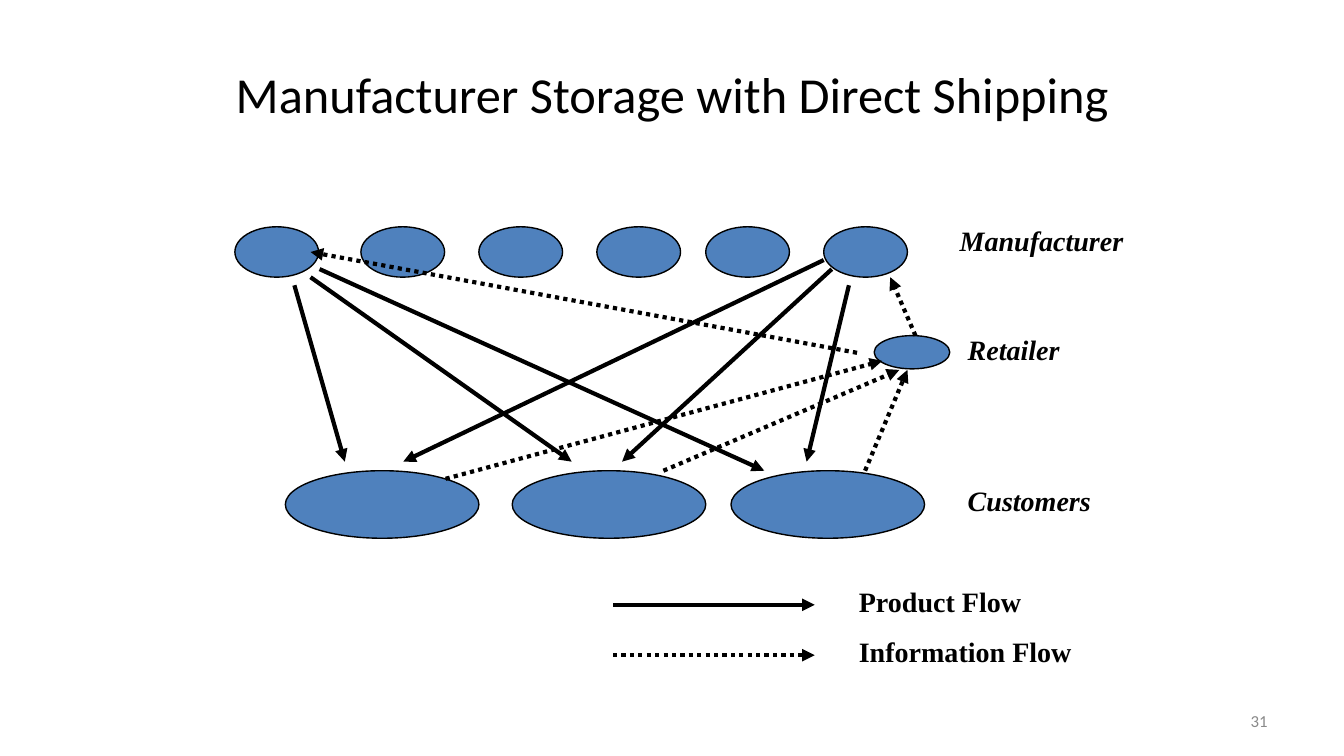
from dataclasses import dataclass

from pptx import Presentation
from pptx.dml.color import RGBColor
from pptx.enum.dml import MSO_LINE
from pptx.enum.shapes import MSO_CONNECTOR, MSO_SHAPE
from pptx.enum.text import MSO_ANCHOR, MSO_AUTO_SIZE, PP_ALIGN
from pptx.oxml.ns import qn
from pptx.oxml.xmlchemy import OxmlElement
from pptx.slide import Slide
from pptx.text.text import TextFrame
from pptx.util import Inches, Pt

STRAIGHT = MSO_CONNECTOR.STRAIGHT
ELLIPSE = MSO_SHAPE.OVAL
DOTTED = MSO_LINE.ROUND_DOT
MIDDLE = MSO_ANCHOR.MIDDLE
FIT_SHAPE = MSO_AUTO_SIZE.SHAPE_TO_FIT_TEXT
LEFT, CENTER, RIGHT = PP_ALIGN.LEFT, PP_ALIGN.CENTER, PP_ALIGN.RIGHT

COLORS = {"ink": "000000", "node": "4F81BD", "number": "898989"}
SANS, SERIF = "Calibri", "Times New Roman"


@dataclass
class NodeRow:
    lefts: list[float]
    top: float
    width: float
    height: float


@dataclass
class Flow:
    x1: float
    y1: float
    x2: float
    y2: float
    information: bool = False


@dataclass
class Label:
    text: str
    left: float
    top: float
    width: float = 1.83
    italic: bool = False


NODE_ROWS = [
    NodeRow([2.33, 3.58, 4.75, 5.92, 7, 8.17], 2.25, 0.83, 0.5),
    NodeRow([8.67], 3.33, 0.75, 0.33),
    NodeRow([2.83, 5.08, 7.25], 4.67, 1.92, 0.67),
]

FLOWS = [
    Flow(2.92, 2.83, 3.42, 4.58),
    Flow(3.08, 2.75, 5.67, 4.58),
    Flow(3.17, 2.67, 7.58, 4.67),
    Flow(8.42, 2.83, 8, 4.58),
    Flow(8.25, 2.67, 6.17, 4.58),
    Flow(8.17, 2.58, 4, 4.58),
    Flow(4.42, 4.75, 8.75, 3.58, True),
    Flow(6.58, 4.67, 8.92, 3.67, True),
    Flow(8.58, 4.67, 9, 3.67, True),
    Flow(9.08, 3.33, 8.83, 2.75, True),
    Flow(8.5, 3.5, 3.08, 2.5, True),
    Flow(6.08, 6, 8.08, 6),
    Flow(6.08, 6.5, 8.08, 6.5, True),
]

LABELS = [
    Label("Manufacturer", 9.42, 2.17, italic=True),
    Label("Retailer", 9.5, 3.25, italic=True),
    Label("Customers", 9.5, 4.75, italic=True),
    Label("Product Flow", 8.42, 5.75),
    Label("Information Flow", 8.42, 6.25, 2.33),
]


def rgb(name: str) -> RGBColor:
    return RGBColor.from_string(COLORS[name])


def write(tf: TextFrame, text: str, size: int, font: str, color: str,
          align: PP_ALIGN, bold: bool = False, italic: bool = False) -> None:
    tf.word_wrap = True
    tf.text = text
    p = tf.paragraphs[0]
    p.alignment = align
    r = p.runs[0]
    r.font.size = Pt(size)
    r.font.name = font
    r.font.bold = bold
    r.font.italic = italic
    r.font.color.rgb = rgb(color)


def add_title(s: Slide, text: str) -> None:
    sp = s.shapes.title
    sp.left, sp.top = Inches(0.67), Inches(0.3)
    sp.width, sp.height = Inches(12), Inches(1.25)
    sp.text_frame.vertical_anchor = MIDDLE
    write(sp.text_frame, text, 36, SANS, "ink", CENTER)


def add_page_number(s: Slide, text: str) -> None:
    sp = s.shapes.add_textbox(Inches(9.56), Inches(6.95), Inches(3.11), Inches(0.4))
    sp.text_frame.vertical_anchor = MIDDLE
    write(sp.text_frame, text, 12, SANS, "number", RIGHT)


def add_nodes(s: Slide, row: NodeRow) -> None:
    for left in row.lefts:
        sp = s.shapes.add_shape(ELLIPSE, Inches(left), Inches(row.top),
                                Inches(row.width), Inches(row.height))
        sp.shadow.inherit = False
        sp.fill.solid()
        sp.fill.fore_color.rgb = rgb("node")
        sp.line.color.rgb = rgb("ink")
        sp.line.width = Pt(1)


def add_flow(s: Slide, flow: Flow) -> None:
    cxn = s.shapes.add_connector(STRAIGHT, Inches(flow.x1), Inches(flow.y1),
                                 Inches(flow.x2), Inches(flow.y2))
    cxn.line.color.rgb = rgb("ink")
    cxn.line.width = Pt(3)
    if flow.information:
        cxn.line.dash_style = DOTTED
    sp_pr = cxn._element.spPr
    arrowhead = OxmlElement("a:tailEnd")
    arrowhead.set("type", "triangle")
    sp_pr.find(qn("a:ln")).append(arrowhead)
    sp_pr.append(OxmlElement("a:effectLst"))


def add_label(s: Slide, label: Label) -> None:
    sp = s.shapes.add_textbox(Inches(label.left), Inches(label.top),
                              Inches(label.width), Inches(0.43))
    write(sp.text_frame, label.text, 20, SERIF, "ink", LEFT, True, label.italic)
    sp.text_frame.auto_size = FIT_SHAPE


def main() -> None:
    prs = Presentation()
    prs.slide_width, prs.slide_height = Inches(13.33), Inches(7.5)
    s = prs.slides.add_slide(prs.slide_layouts[5])
    add_title(s, "Manufacturer Storage with Direct Shipping")
    add_page_number(s, "31")
    for row in NODE_ROWS:
        add_nodes(s, row)
    for flow in FLOWS:
        add_flow(s, flow)
    for label in LABELS:
        add_label(s, label)
    prs.save("out.pptx")


if __name__ == "__main__":
    main()
